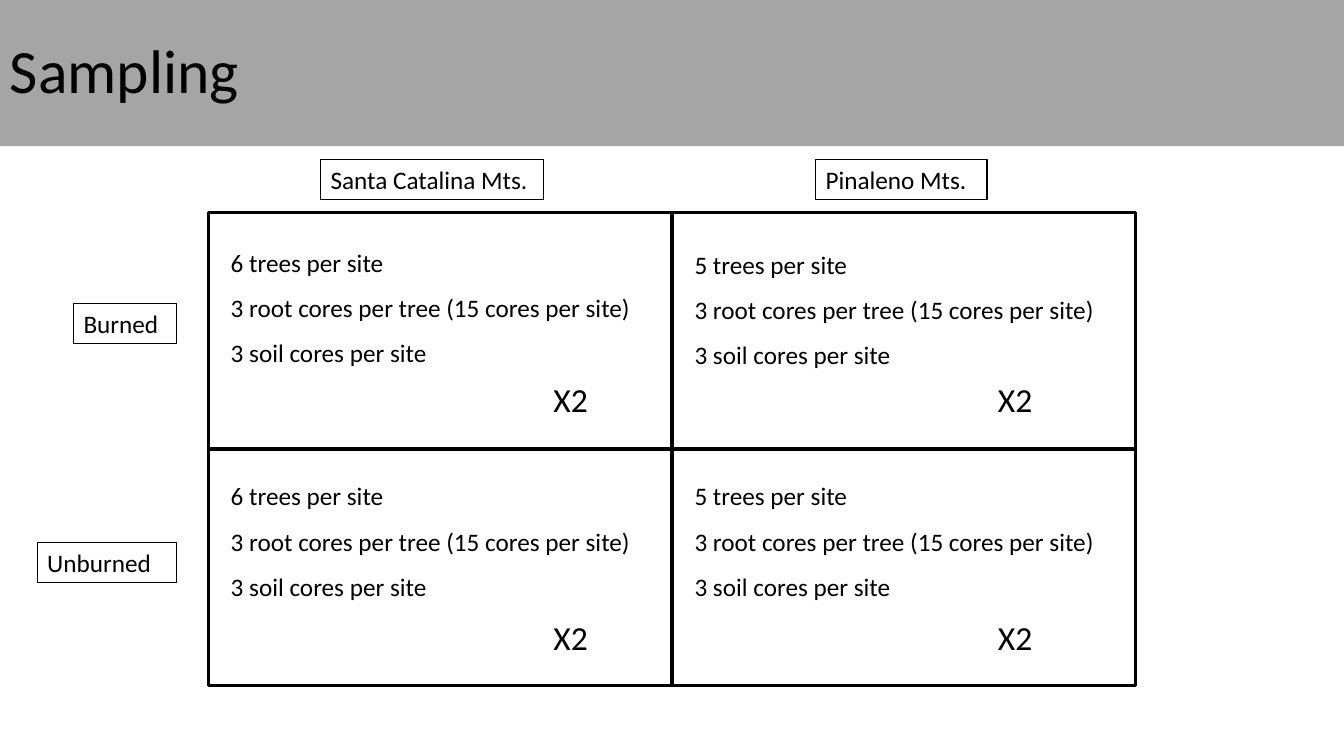
from dataclasses import dataclass

from lxml.etree import SubElement
from pptx import Presentation
from pptx.dml.color import RGBColor
from pptx.enum.shapes import MSO_CONNECTOR, MSO_SHAPE
from pptx.enum.text import MSO_ANCHOR, MSO_AUTO_SIZE, PP_ALIGN
from pptx.oxml.ns import qn
from pptx.shapes.autoshape import Shape
from pptx.shapes.shapetree import SlideShapes
from pptx.util import Inches, Pt


@dataclass(frozen=True)
class Theme:
    font: str = "Calibri"
    ink: RGBColor = RGBColor(0, 0, 0)
    band: RGBColor = RGBColor(0xA5, 0xA5, 0xA5)
    title: float = 44
    body: float = 18
    count: float = 24
    thin: float = 1
    thick: float = 2.25


@dataclass(frozen=True)
class Box:
    left: float
    top: float
    width: float
    height: float


@dataclass(frozen=True)
class Label:
    text: str
    box: Box


@dataclass(frozen=True)
class Site:
    """One column of the grid: its trees and where its texts start."""
    trees: int
    left: float
    mark: float
    tops: tuple[float, float]
    height: float


THEME = Theme()
GRID = Box(2.07, 2.11, 9.19, 4.69)
LABELS = [
    Label("Pinaleno Mts.", Box(8.09, 1.58, 1.7, 0.4)),
    Label("Santa Catalina Mts.", Box(3.18, 1.58, 2.21, 0.4)),
    Label("Burned", Box(0.73, 3.01, 1.02, 0.4)),
    Label("Unburned", Box(0.37, 5.38, 1.38, 0.4)),
]
SITES = [
    Site(6, 2.19, 5.39, (2.25, 4.57), 1.46),
    Site(5, 6.79, 9.8, (2.27, 4.57), 1.42),
]
MARK_TOPS = (3.71, 6.07)


def place(box: Box) -> tuple[Inches, Inches, Inches, Inches]:
    return Inches(box.left), Inches(box.top), Inches(box.width), Inches(box.height)


def write(shape: Shape, *lines: str, size: float = THEME.body, space: float = 1,
          anchor: MSO_ANCHOR = MSO_ANCHOR.TOP, grow: bool = True) -> None:
    frame = shape.text_frame
    frame.word_wrap = True
    frame.vertical_anchor = anchor
    frame.auto_size = MSO_AUTO_SIZE.SHAPE_TO_FIT_TEXT if grow else MSO_AUTO_SIZE.NONE
    for i, line in enumerate(lines):
        para = frame.paragraphs[0] if i == 0 else frame.add_paragraph()
        para.alignment = PP_ALIGN.LEFT
        para.line_spacing = space
        run = para.add_run()
        run.text = line
        run.font.name = THEME.font
        run.font.size = Pt(size)
        run.font.color.rgb = THEME.ink


def add_rect(shapes: SlideShapes, box: Box, fill: RGBColor | None = None,
             line: float | None = None) -> Shape:
    rect = shapes.add_shape(MSO_SHAPE.RECTANGLE, *place(box))
    rect.shadow.inherit = False
    if fill is None:
        rect.fill.background()
    else:
        rect.fill.solid()
        rect.fill.fore_color.rgb = fill
    if line is None:
        rect.line.fill.background()
    else:
        rect.line.color.rgb = THEME.ink
        rect.line.width = Pt(line)
    return rect


def split(shapes: SlideShapes, rect: Shape, start: int, end: int) -> None:
    """Join the middles of two sides of a rectangle."""
    line = shapes.add_connector(MSO_CONNECTOR.STRAIGHT, 0, 0, 0, 0)
    line.begin_connect(rect, start)
    line.end_connect(rect, end)
    line.line.color.rgb = THEME.ink
    line.line.width = Pt(THEME.thick)
    SubElement(line._element.spPr, qn("a:effectLst"))


def main() -> None:
    deck = Presentation()
    deck.slide_width, deck.slide_height = Inches(13.33), Inches(7.5)
    shapes = deck.slides.add_slide(deck.slide_layouts[6]).shapes

    title = add_rect(shapes, Box(0, 0, 13.33, 1.45), fill=THEME.band)
    write(title, "Sampling", size=THEME.title, space=0.9,
          anchor=MSO_ANCHOR.MIDDLE, grow=False)

    grid = add_rect(shapes, GRID, line=THEME.thick)
    split(shapes, grid, 0, 2)
    split(shapes, grid, 1, 3)

    for label in LABELS:
        write(add_rect(shapes, label.box, line=THEME.thin), label.text)

    for site in SITES:
        for top, low in zip(site.tops, MARK_TOPS):
            plan = shapes.add_textbox(*place(Box(site.left, top, 4.31, site.height)))
            write(plan, f"{site.trees} trees per site",
                  "3 root cores per tree (15 cores per site)",
                  "3 soil cores per site", space=1.5)
            mark = shapes.add_textbox(*place(Box(site.mark, low, 0.67, 0.5)))
            write(mark, "X2", size=THEME.count)

    deck.save("out.pptx")


if __name__ == "__main__":
    main()
